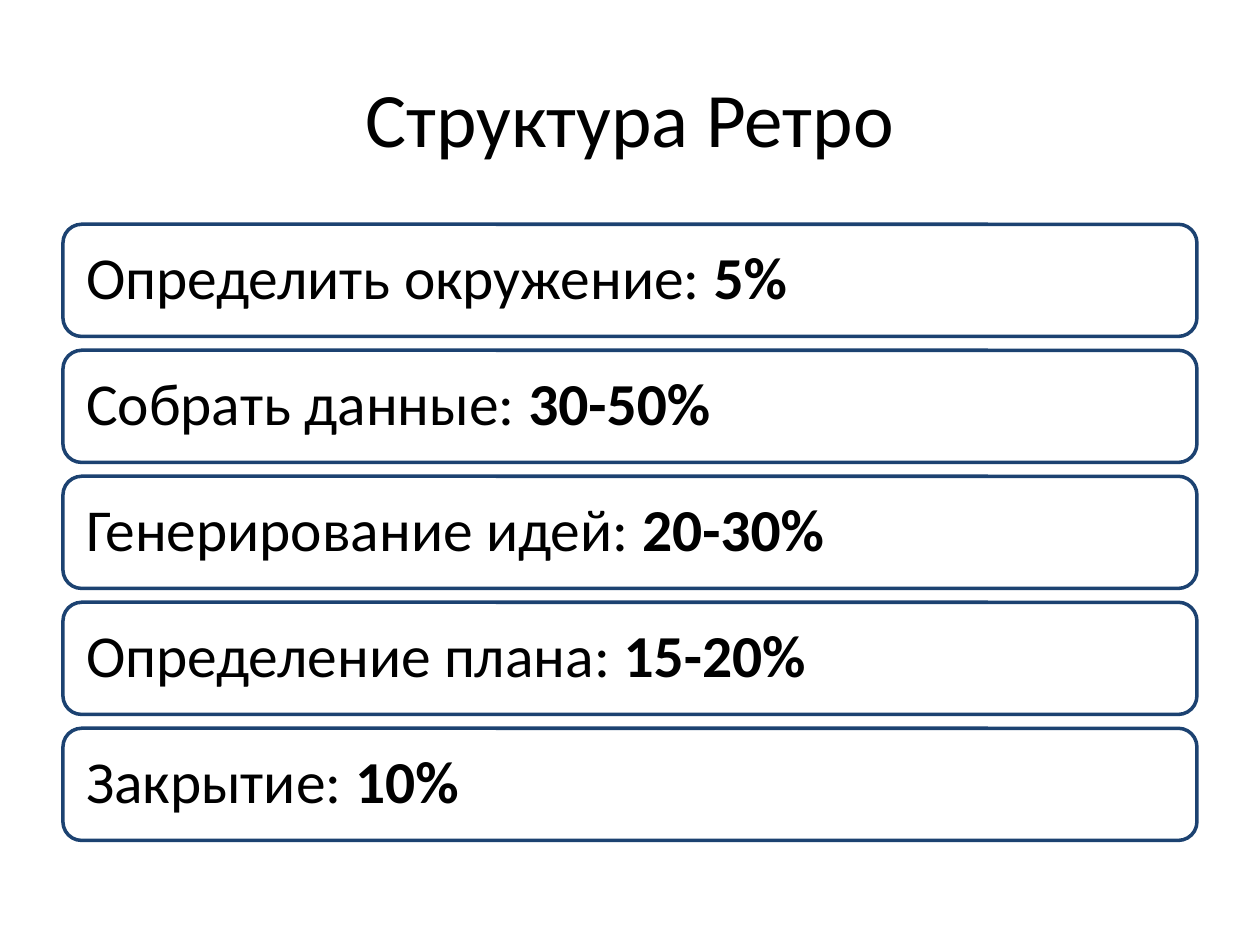
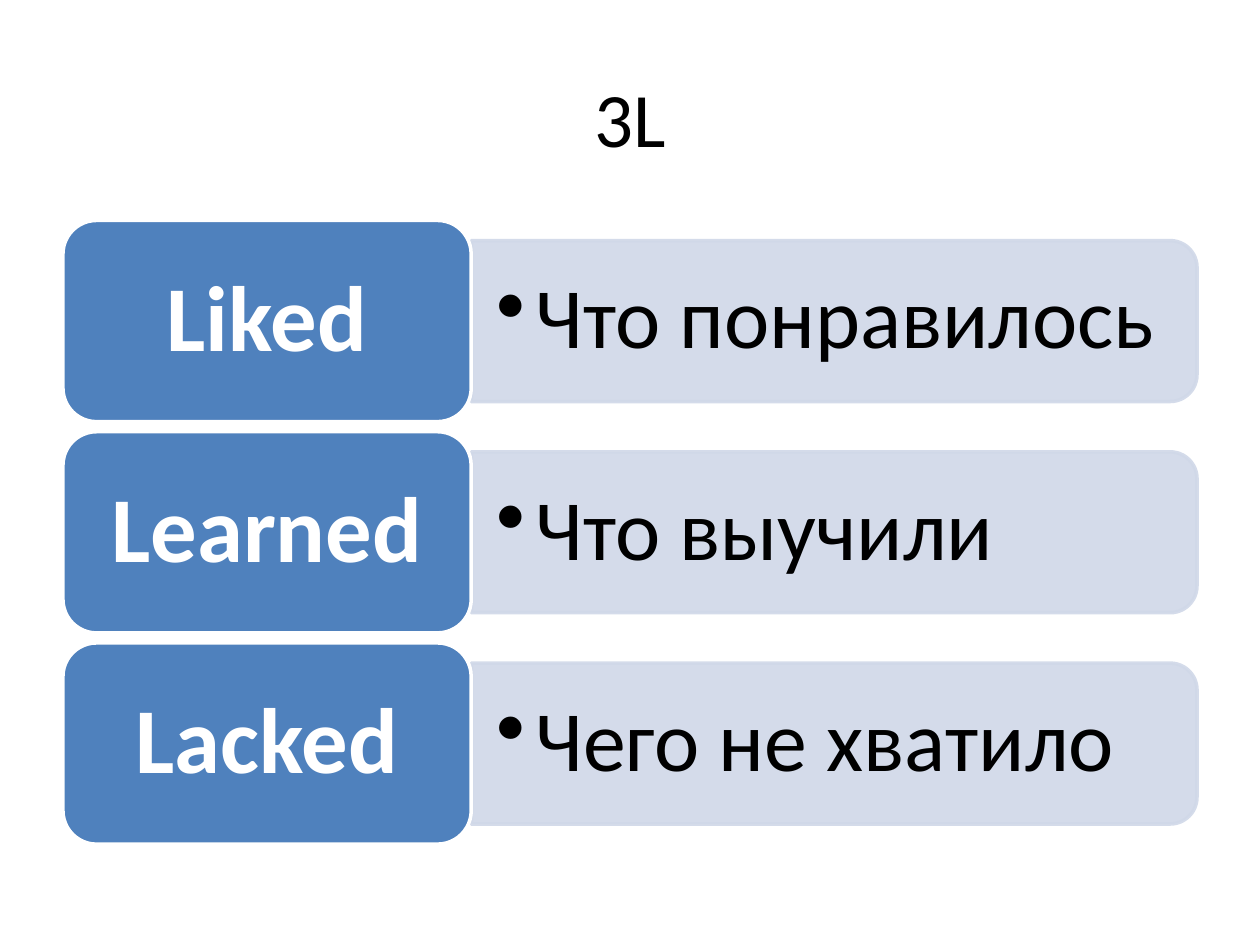
import pptx
import pptx.dml.color
import pptx.enum.shapes
import pptx.enum.text
import pptx.oxml.ns
import pptx.util
from lxml import etree

Inches = pptx.util.Inches
SHAPES = pptx.enum.shapes.MSO_SHAPE
ALIGN = pptx.enum.text.PP_ALIGN

FONT = "Calibri"
BLACK, WHITE = "000000", "FFFFFF"
NAVY, BLUE, PALE_BLUE = "1C4271", "4F81BD", "D0D8E8"

# Boxes are left, top, width, height in inches
TITLE_BOX = (0.5, 0.3, 9, 1.25)
STAGES_BOX = (0.5, 1.78, 9, 4.89)
QUESTIONS_BOX = (0.5, 1.75, 9, 4.95)

STAGES = [
    ("Определить окружение: ", "5%"),
    ("Собрать данные: ", "30-50%"),
    ("Генерирование идей: ", "20-30%"),
    ("Определение плана: ", "15-20%"),
    ("Закрытие: ", "10%"),
]
QUESTIONS = [
    ("Liked", "Что понравилось"),
    ("Learned", "Что выучили"),
    ("Lacked", "Чего не хватило"),
]


def color(hex_value):
    return pptx.dml.color.RGBColor.from_string(hex_value)


def set_all(target, values):
    for name, value in values.items():
        setattr(target, name, value)


def split_rows(box, count, gap):
    """Cut a box into equal rows with a gap between them."""
    left, top, width, height = box
    row_height = (height - gap * (count - 1)) / count
    return [(left, top + index * (row_height + gap), width, row_height)
            for index in range(count)]


def add_panel(slide, kind, box, fill, line):
    shape = slide.shapes.add_shape(kind, *map(Inches, box))
    shape.shadow.inherit = False
    shape.fill.solid()
    shape.fill.fore_color.rgb = color(fill)
    shape.line.color.rgb = color(line)
    shape.line.width = pptx.util.Pt(2)
    return shape


def add_label(slide, box):
    return slide.shapes.add_textbox(*map(Inches, box))


def write_text(shape, runs, size, text_color=BLACK, align=ALIGN.LEFT,
               margins=(0.1, 0.05), line_spacing=0.9):
    """Write one paragraph from (text, bold) runs."""
    side, end = map(Inches, margins)
    frame = shape.text_frame
    set_all(frame, {
        "word_wrap": True,
        "vertical_anchor": pptx.enum.text.MSO_ANCHOR.MIDDLE,
        "margin_left": side, "margin_right": side,
        "margin_top": end, "margin_bottom": end,
    })
    paragraph = frame.paragraphs[0]
    set_all(paragraph, {"alignment": align, "line_spacing": line_spacing})
    for text, bold in runs:
        run = paragraph.add_run()
        run.text = text
        set_all(run.font, {"name": FONT, "size": pptx.util.Pt(size), "bold": bold})
        run.font.color.rgb = color(text_color)
    return paragraph


def add_bullet(paragraph, indent):
    properties = paragraph._p.get_or_add_pPr()
    properties.set("marL", str(Inches(indent)))
    properties.set("indent", str(-Inches(indent)))
    bullet = etree.SubElement(properties, pptx.oxml.ns.qn("a:buChar"))
    bullet.set("char", "•")


def set_opacity(shape, percent):
    """Apply the opacity to both the fill and the outline."""
    for value in shape._element.spPr.iter(pptx.oxml.ns.qn("a:srgbClr")):
        alpha = etree.SubElement(value, pptx.oxml.ns.qn("a:alpha"))
        alpha.set("val", str(percent * 1000))


def add_titled_slide(presentation, title):
    slide = presentation.slides.add_slide(presentation.slide_layouts[6])
    write_text(add_label(slide, TITLE_BOX), [(title, False)], 44,
               align=ALIGN.CENTER, line_spacing=1.0)
    return slide


def add_stage_list(slide, box):
    for row, (stage, share) in zip(split_rows(box, len(STAGES), 0.11), STAGES):
        panel = add_panel(slide, SHAPES.ROUNDED_RECTANGLE, row, WHITE, NAVY)
        write_text(panel, [(stage, False), (share, True)], 34, margins=(0.14, 0.14))


def add_question_bar(slide, box, question):
    # The bar is drawn upright and turned so its round corners face right
    left, top, width, height = box
    upright = (left + (width - height) / 2, top + (height - width) / 2, height, width)
    bar = add_panel(slide, SHAPES.ROUND_2_SAME_RECTANGLE, upright, PALE_BLUE, PALE_BLUE)
    bar.rotation = 90
    set_opacity(bar, 90)
    # Horizontal text sits clear of the rounded end
    label = add_label(slide, (left, top + 0.06, width - 0.06, height - 0.12))
    paragraph = write_text(label, [(question, False)], 49, margins=(0.2, 0.1))
    add_bullet(paragraph, 0.31)


def add_question_rows(slide, box):
    name_share, bar_share = 0.36, 0.8
    rows = split_rows(box, len(QUESTIONS), 0.08)
    for (left, top, width, height), (name, question) in zip(rows, QUESTIONS):
        name_width = width * name_share
        bar_height = height * bar_share
        add_question_bar(slide, (left + name_width, top + (height - bar_height) / 2,
                                 width - name_width, bar_height), question)
        panel = add_panel(slide, SHAPES.ROUNDED_RECTANGLE,
                          (left, top, name_width, height), BLUE, WHITE)
        write_text(panel, [(name, True)], 53, WHITE, ALIGN.CENTER, (0.22, 0.11))


def main():
    presentation = pptx.Presentation()
    set_all(presentation, {"slide_width": Inches(10), "slide_height": Inches(7.5)})
    add_stage_list(add_titled_slide(presentation, "Структура Ретро"), STAGES_BOX)
    add_question_rows(add_titled_slide(presentation, "3L"), QUESTIONS_BOX)
    presentation.save("out.pptx")


if __name__ == "__main__":
    main()
